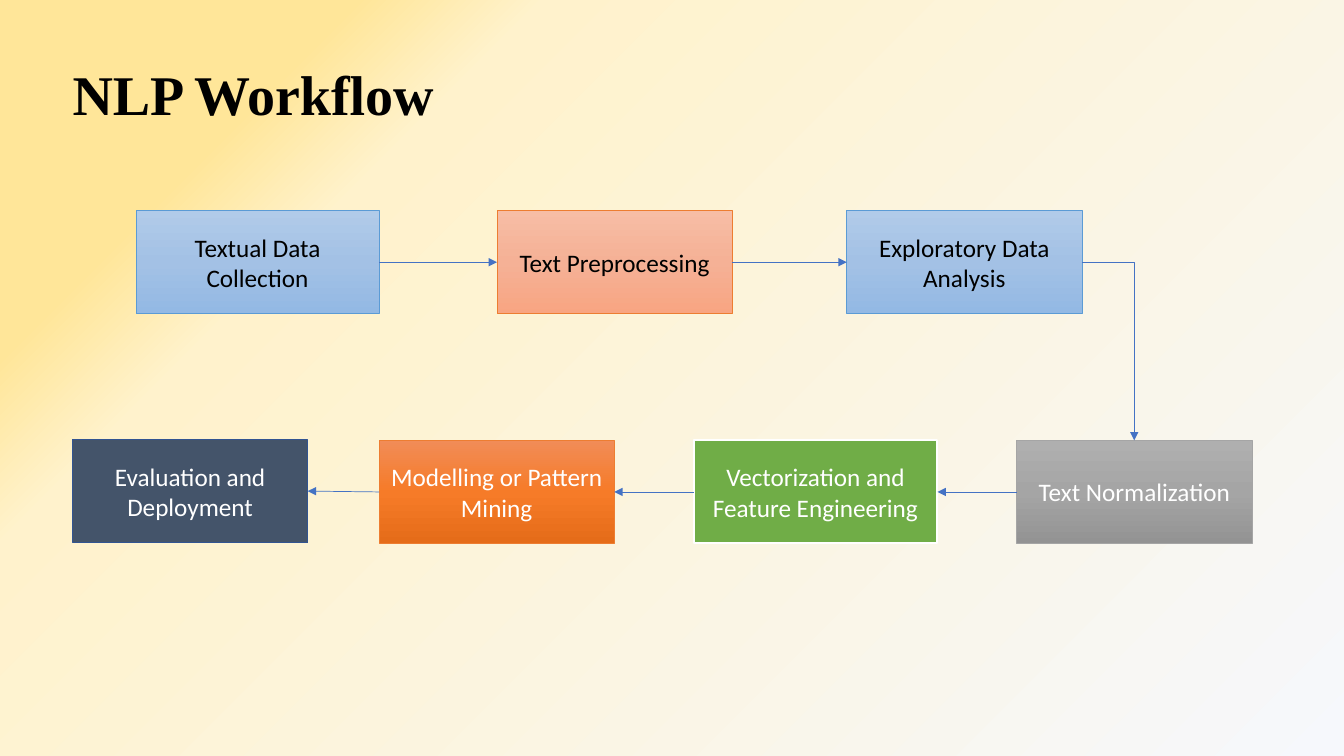
from dataclasses import dataclass

from lxml import etree
from pptx import Presentation
from pptx.dml.color import RGBColor
from pptx.enum.shapes import MSO_CONNECTOR, MSO_SHAPE
from pptx.enum.text import MSO_ANCHOR, MSO_AUTO_SIZE, PP_ALIGN
from pptx.oxml.ns import qn
from pptx.util import Pt

PROCESS = MSO_SHAPE.FLOWCHART_PROCESS
STRAIGHT, ELBOW = MSO_CONNECTOR.STRAIGHT, MSO_CONNECTOR.ELBOW
MIDDLE = MSO_ANCHOR.MIDDLE
LEFT, CENTER = PP_ALIGN.LEFT, PP_ALIGN.CENTER
NO_AUTOFIT = MSO_AUTO_SIZE.NONE

TOP_ROW, BOTTOM_ROW = 150.5, 314.6
STEP_HEIGHT = 73.6
TOP_SITE, LEFT_SITE, RIGHT_SITE = 0, 1, 3
BLACK, WHITE, ARROW = "000000", "FFFFFF", "4472C4"
BLUE = ((0, "B1CBE9"), (50, "A3C1E5"), (100, "93B9E4"))
PEACH = ((0, "F7BDA5"), (50, "F5B196"), (100, "F8A582"))
GRAY = ((0, "AFAFAF"), (50, "A5A5A5"), (100, "939393"))
ORANGE = ((0, "F18C57"), (50, "F67B28"), (100, "E56C19"))
GREEN = ((0, "70AD47"),)
NAVY = ((0, "44546A"),)
BACKGROUND = ((0, "F6F8FC"), (74, "FFF2CC"), (83, "FFE699"), (100, "FFE699"))


@dataclass
class Step:
    text: str
    x: float
    y: float
    width: float
    stops: tuple
    line: str
    line_width: float = 0.5
    color: str = WHITE


STEPS = [
    Step("Textual Data Collection", 97.2, TOP_ROW, 173.6, BLUE, "5B9BD5", color=BLACK),
    Step("Text Preprocessing", 355, TOP_ROW, 168, PEACH, "ED7D31", color=BLACK),
    Step("Exploratory Data Analysis", 604.8, TOP_ROW, 168, BLUE, "5B9BD5", color=BLACK),
    Step("Text Normalization", 726.2, BOTTOM_ROW, 168, GRAY, "A5A5A5"),
    Step("Vectorization and Feature Engineering", 495.4, BOTTOM_ROW, 174.2, GREEN, WHITE, 1.5),
    Step("Modelling or Pattern Mining", 270.8, BOTTOM_ROW, 168, ORANGE, "ED7D31"),
    Step("Evaluation and Deployment", 51.8, BOTTOM_ROW - 0.6, 168, NAVY, "325491", 1),
]


def rgb(color: str) -> RGBColor:
    return RGBColor.from_string(color)


def set_gradient(fill, owner, stops: tuple, radial: bool = False) -> None:
    fill.gradient()
    grad = owner.find(".//" + qn("a:gradFill"))
    for child in list(grad):
        grad.remove(child)
    gs_list = etree.SubElement(grad, qn("a:gsLst"))
    for position, color in stops:
        gs = etree.SubElement(gs_list, qn("a:gs"), pos=str(position * 1000))
        etree.SubElement(gs, qn("a:srgbClr"), val=color)
    if radial:
        circle = etree.SubElement(grad, qn("a:path"), {"path": "circle"})
        etree.SubElement(circle, qn("a:fillToRect"), l="100000", t="100000")
        etree.SubElement(grad, qn("a:tileRect"), r="-100000", b="-100000")
    else:
        etree.SubElement(grad, qn("a:lin"), ang="5400000", scaled="0")


def format_text(tf, text: str, font: str, size: float, color: str, align) -> None:
    tf.text = text
    tf.word_wrap = True
    tf.vertical_anchor = MIDDLE
    p = tf.paragraphs[0]
    p.alignment = align
    p.font.name = font
    p.font.size = Pt(size)
    p.font.color.rgb = rgb(color)


def add_step(s, step: Step):
    sp = s.shapes.add_shape(PROCESS, Pt(step.x), Pt(step.y), Pt(step.width), Pt(STEP_HEIGHT))
    sp.shadow.inherit = False
    if len(step.stops) == 1:
        sp.fill.solid()
        sp.fill.fore_color.rgb = rgb(step.stops[0][1])
    else:
        set_gradient(sp.fill, sp._element, step.stops)
    sp.line.color.rgb = rgb(step.line)
    sp.line.width = Pt(step.line_width)
    format_text(sp.text_frame, step.text, "Calibri", 18, step.color, CENTER)
    return sp


def add_arrow(s, start, end, start_site: int, end_site: int) -> None:
    bent = end_site == TOP_SITE
    cxn = s.shapes.add_connector(ELBOW if bent else STRAIGHT, 0, 0, 0, 0)
    cxn.begin_connect(start, start_site)
    cxn.end_connect(end, end_site)
    cxn.line.color.rgb = rgb(ARROW)
    cxn.line.width = Pt(0.5)
    sp_pr = cxn._element.spPr
    if bent:
        sp_pr.find(qn("a:prstGeom")).set("prst", "bentConnector2")
    etree.SubElement(sp_pr.find(qn("a:ln")), qn("a:tailEnd"), type="triangle")
    etree.SubElement(sp_pr, qn("a:effectLst"))


prs = Presentation()
prs.slide_width, prs.slide_height = Pt(960), Pt(540)
s = prs.slides.add_slide(prs.slide_layouts[5])
set_gradient(s.background.fill, s._element, BACKGROUND, radial=True)

title = s.shapes.title
title.left, title.top, title.width, title.height = Pt(44.6), Pt(17.3), Pt(828), Pt(104.4)
format_text(title.text_frame, "NLP Workflow", "Times New Roman", 40, BLACK, LEFT)
title.text_frame.auto_size = NO_AUTOFIT
title.text_frame.paragraphs[0].font.bold = True
title.text_frame.paragraphs[0].line_spacing = 0.9

boxes = [add_step(s, step) for step in STEPS]
for i, (start, end) in enumerate(zip(boxes, boxes[1:])):
    if STEPS[i].y != TOP_ROW:
        add_arrow(s, start, end, LEFT_SITE, RIGHT_SITE)
    elif STEPS[i + 1].y == TOP_ROW:
        add_arrow(s, start, end, RIGHT_SITE, LEFT_SITE)
    else:
        add_arrow(s, start, end, RIGHT_SITE, TOP_SITE)

prs.save("out.pptx")
